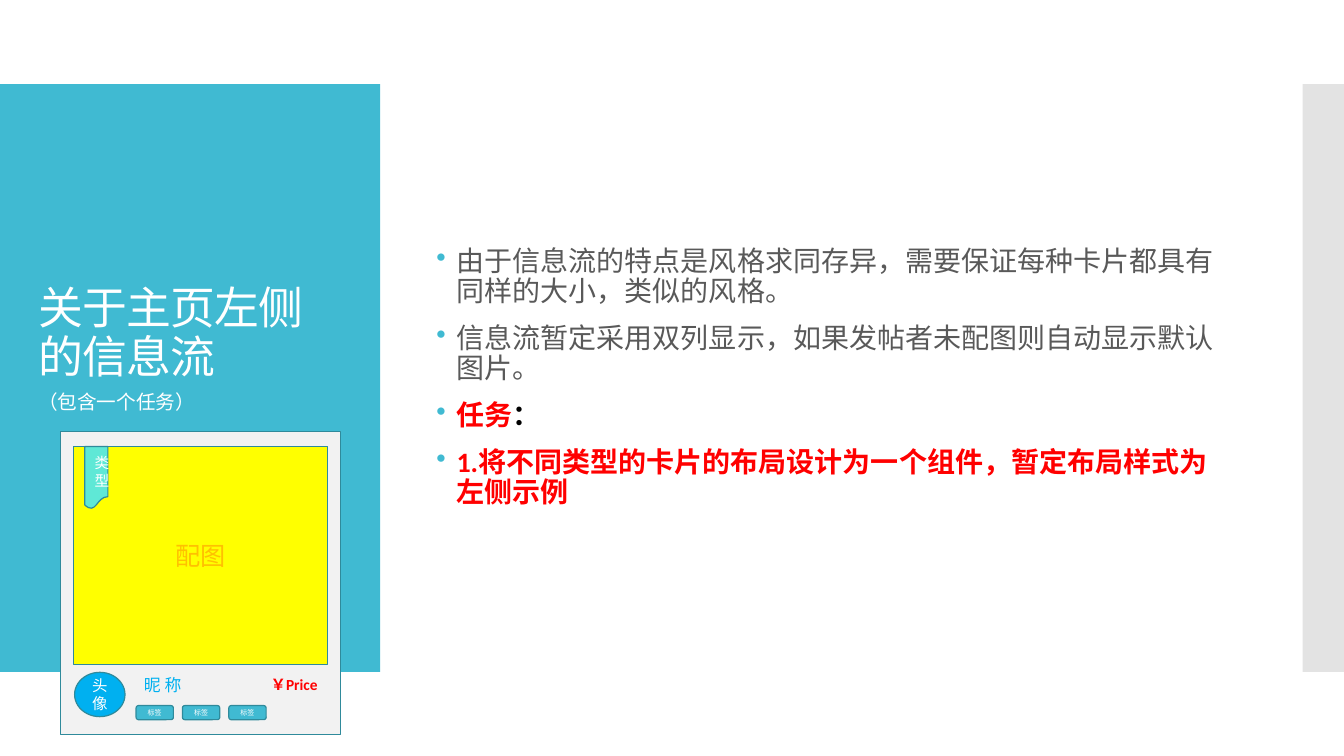
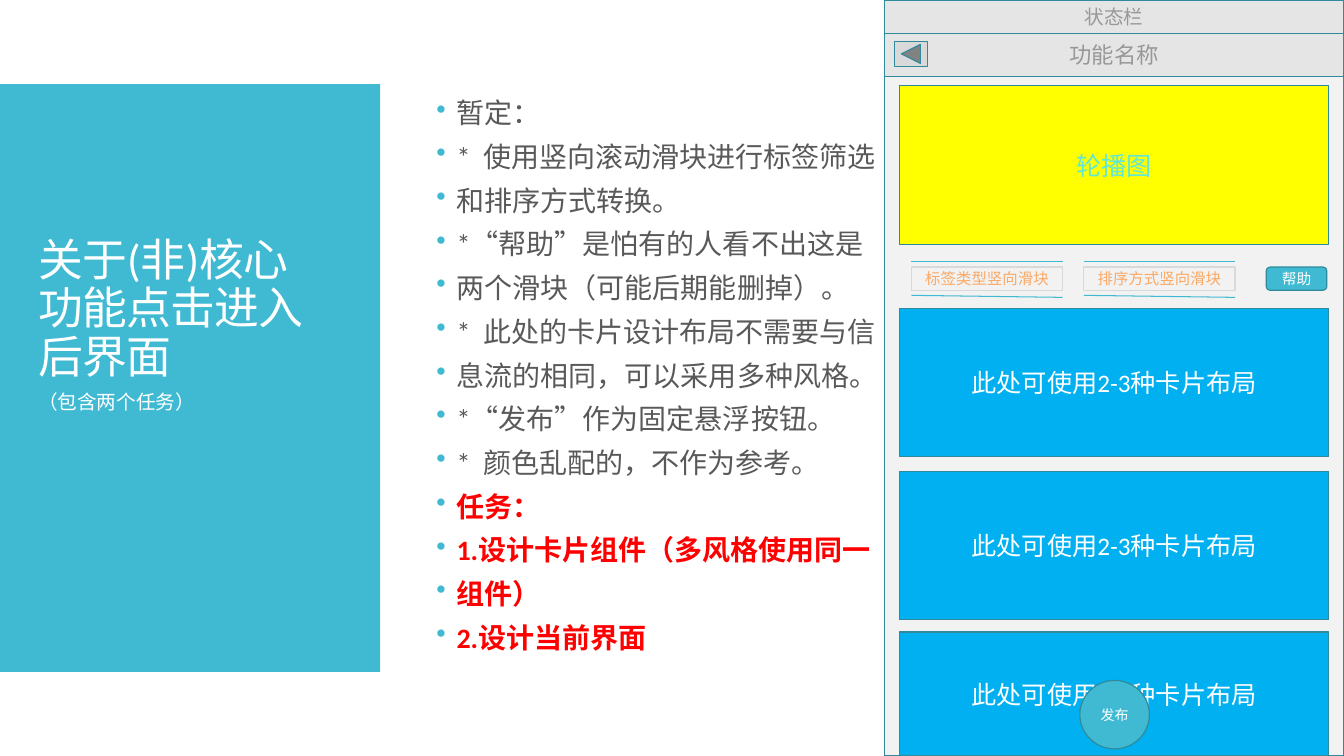
from dataclasses import dataclass
from lxml import etree
from pptx import Presentation
from pptx.dml.color import RGBColor
from pptx.enum.shapes import MSO_CONNECTOR, MSO_SHAPE
from pptx.enum.text import MSO_ANCHOR, MSO_AUTO_SIZE, PP_ALIGN
from pptx.oxml.ns import qn
from pptx.util import Inches, Pt

RECT, ROUND, OVAL = MSO_SHAPE.RECTANGLE, MSO_SHAPE.ROUNDED_RECTANGLE, MSO_SHAPE.OVAL
RIBBON, BACK = MSO_SHAPE.FLOWCHART_DOCUMENT, MSO_SHAPE.ACTION_BUTTON_BACK_OR_PREVIOUS
STRAIGHT = MSO_CONNECTOR.STRAIGHT
TOP, MIDDLE, BOTTOM = MSO_ANCHOR.TOP, MSO_ANCHOR.MIDDLE, MSO_ANCHOR.BOTTOM
LEFT, CENTER, RIGHT = PP_ALIGN.LEFT, PP_ALIGN.CENTER, PP_ALIGN.RIGHT


@dataclass(frozen=True)
class Theme:
    font: str = "Calibri"
    accent: str = "40BAD2"
    edge: str = "2F8A9B"
    band: str = "C8C8C8"
    panel: str = "F2F2F2"
    bar: str = "E5E5E5"
    button: str = "D9D9D9"
    image: str = "FFFF00"
    card: str = "00B0F0"
    mint: str = "5FE8D6"
    amber: str = "FFC000"
    peach: str = "FAA966"
    muted: str = "989898"
    body: str = "595959"
    task: str = "FF0000"
    white: str = "FFFFFF"
    black: str = "000000"
    title_pt: float = 32
    body_pt: float = 20
    label_pt: float = 18
    bar_pt: float = 16
    note_pt: float = 14
    name_pt: float = 12
    small_pt: float = 11
    button_pt: float = 10.5
    publish_pt: float = 10
    tag_pt: float = 5
    line_pt: float = 0.85
    rule_pt: float = 0.75


T = Theme()
W, H = 13.33, 7.5
BAND_TOP, BAND_H = H / 9, H * 7 / 9
SIDE_X, SIDE_W = 0.28, 3.1


def write(shape, paras, size, anchor=MIDDLE, fmt=None, bullet=False):
    tf = shape.text_frame
    for name, value in dict(word_wrap=True, auto_size=MSO_AUTO_SIZE.NONE,
                            vertical_anchor=anchor).items():
        setattr(tf, name, value)
    for i, runs in enumerate(paras):
        p = tf.paragraphs[0] if i == 0 else tf.add_paragraph()
        for name, value in (fmt or {}).items():
            setattr(p, name, value)
        if bullet:
            pPr = p._p.get_or_add_pPr()
            pPr.set("marL", str(Inches(0.2)))
            pPr.set("indent", str(-Inches(0.2)))
            clr = etree.SubElement(pPr, qn("a:buClr"))
            etree.SubElement(clr, qn("a:srgbClr")).set("val", T.accent)
            etree.SubElement(pPr, qn("a:buChar")).set("char", "•")
        for text, color, bold in runs:
            r = p.add_run()
            r.text = text
            for name, value in dict(name=T.font, size=Pt(size), bold=bold).items():
                setattr(r.font, name, value)
            r.font.color.rgb = RGBColor.from_string(color)


def box(shapes, kind, at, fill, line=None, text="", size=T.label_pt, color=T.white,
        align=CENTER, bold=False):
    sp = shapes.add_shape(kind, *map(Inches, at))
    sp.shadow.inherit = False
    sp.fill.solid()
    sp.fill.fore_color.rgb = RGBColor.from_string(fill)
    if line:
        sp.line.color.rgb = RGBColor.from_string(line)
        sp.line.width = Pt(T.line_pt)
    else:
        sp.line.fill.background()
    if text:
        write(sp, [[(text, color, bold)]], size, fmt=dict(alignment=align))
    return sp


prs = Presentation()
prs.slide_width, prs.slide_height = Inches(W), Inches(H)
layout = prs.slide_layouts[5]

feed_body = [
    [("由于信息流的特点是风格求同存异，需要保证每种卡片都具有同样的大小，类似的风格。", T.body, False)],
    [("信息流暂定采用双列显示，如果发帖者未配图则自动显示默认图片。", T.body, False)],
    [("任务", T.task, True), ("：", T.black, True)],
    [("1.将不同类型的卡片的布局设计为一个组件，暂定布局样式为左侧示例", T.task, True)],
]
screen_notes = [
    "暂定：", "*  使用竖向滚动滑块进行标签筛选", "和排序方式转换。",
    "*“帮助”是怕有的人看不出这是", "两个滑块（可能后期能删掉）。",
    "*  此处的卡片设计布局不需要与信", "息流的相同，可以采用多种风格。",
    "*“发布”作为固定悬浮按钮。", "*  颜色乱配的，不作为参考。",
]
screen_tasks = ["任务：", "1.设计卡片组件（多风格使用同一", "组件）", "2.设计当前界面"]
screen_body = ([[(t, T.body, False)] for t in screen_notes]
               + [[(t, T.task, True)] for t in screen_tasks])
pages = [
    ("关于主页左侧的信息流", "（包含一个任务）", feed_body, 0.9),
    ("关于(非)核心功能点击进入后界面", "（包含两个任务）", screen_body, 0.8),
]

groups = []
for heading, note, body, spacing in pages:
    s = prs.slides.add_slide(layout)
    if not groups:
        side = box(s.shapes, RECT, (0, BAND_TOP, 3.77, BAND_H), T.accent)
        strip = box(s.shapes, RECT, (12.92, BAND_TOP, W - 12.92, BAND_H), T.band)
        clr = strip.element.spPr.find(qn("a:solidFill"))[0]
        etree.SubElement(clr, qn("a:alpha")).set("val", "50000")
        for sp in (side, strip):
            layout.shapes.element.append(sp.element)

    title = s.shapes.title
    for name, value in dict(left=SIDE_X, top=1.25, width=SIDE_W, height=2.6).items():
        setattr(title, name, Inches(value))
    write(title, [[(heading, T.white, False)]], T.title_pt, BOTTOM,
          dict(alignment=LEFT, line_spacing=0.9))
    title.text_frame.paragraphs[0].runs[0].font._element.set("spc", "-60")

    content = s.shapes.add_textbox(*map(Inches, (4.23, 0.95, 8, 5.6)))
    write(content, body, T.body_pt, MIDDLE,
          dict(line_spacing=spacing, space_before=Pt(12)), bullet=True)
    subtitle = s.shapes.add_textbox(*map(Inches, (SIDE_X, 3.82, SIDE_W, 2.54)))
    write(subtitle, [[(note, T.white, False)]], T.note_pt, TOP, dict(space_before=Pt(12)))
    groups.append(s.shapes.add_group_shape().shapes)

feed, screen = groups

box(feed, RECT, (0.6, 4.28, 2.78, 3.01), T.panel, T.edge)
box(feed, RECT, (0.73, 4.43, 2.52, 2.16), T.image, T.edge, "配图", color=T.amber)
box(feed, OVAL, (0.74, 6.67, 0.5, 0.44), T.card, T.edge, "头像", T.small_pt)
box(feed, RIBBON, (0.84, 4.43, 0.23, 0.62), T.mint, T.edge, "类型", T.button_pt)
for col in range(3):
    box(feed, ROUND, (1.35 + 0.46 * col, 7, 0.37, 0.14), T.accent, T.edge, "标签", T.tag_pt)
box(feed, RECT, (1.33, 6.72, 0.96, 0.14), T.panel, T.panel, "昵 称", T.name_pt, T.card, LEFT)
box(feed, RECT, (2.54, 6.7, 0.71, 0.18), T.panel, T.panel, "￥Price", T.small_pt, T.task,
    RIGHT, True)

PHONE_X, PHONE_W = 8.77, W - 8.77
CARD_X, CARD_W = PHONE_X + 0.15, PHONE_W - 0.3
box(screen, RECT, (PHONE_X, 0, PHONE_W, H), T.panel, T.edge)
box(screen, RECT, (PHONE_X, 0, PHONE_W, 0.33), T.bar, T.edge, "状态栏", T.note_pt, T.muted)
box(screen, RECT, (PHONE_X, 0.33, PHONE_W, 0.43), T.bar, T.edge, "功能名称", T.bar_pt, T.muted)
box(screen, BACK, (PHONE_X + 0.1, 0.41, 0.33, 0.25), T.button, T.edge)
box(screen, RECT, (CARD_X, 0.85, CARD_W, 1.58), T.image, T.edge, "轮播图", color=T.mint)
for top, height in ((3.06, 1.47), (4.68, 1.47), (6.27, H - 6.27)):
    box(screen, RECT, (CARD_X, top, CARD_W, height), T.card, T.edge, "此处可使用2-3种卡片布局")
for x, label in ((9.04, "标签类型竖向滑块"), (10.75, "排序方式竖向滑块")):
    for y1, y2 in ((2.59, 2.59), (2.93, 2.95)):
        rule = screen.add_connector(STRAIGHT, *map(Inches, (x, y1, x + 1.5, y2)))
        rule.line.color.rgb = RGBColor.from_string(T.accent)
        rule.line.width = Pt(T.rule_pt)
        etree.SubElement(rule._element.spPr, qn("a:effectLst"))
    box(screen, RECT, (x, 2.65, 1.5, 0.23), T.panel, T.button, label, T.small_pt, T.peach)
box(screen, ROUND, (12.56, 2.65, 0.6, 0.23), T.accent, T.edge, "帮助", T.button_pt)
box(screen, OVAL, (10.71, 6.75, 0.69, 0.68), T.accent, T.edge, "发布", T.publish_pt)

prs.save("out.pptx")
